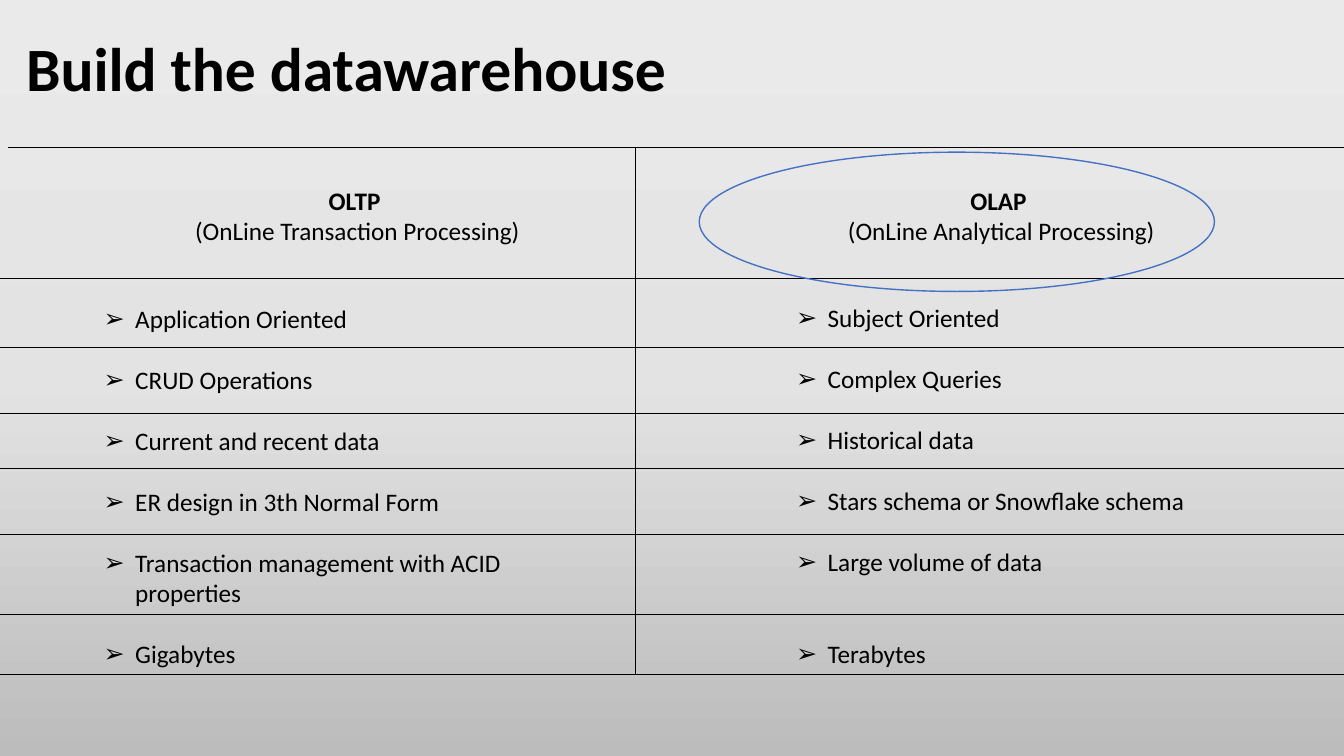
import dataclasses

import lxml.etree
import pptx
import pptx.dml.color
import pptx.enum.shapes
import pptx.enum.text
import pptx.oxml.ns
import pptx.util

Pt = pptx.util.Pt
qn = pptx.oxml.ns.qn
Align = pptx.enum.text.PP_ALIGN
Anchor = pptx.enum.text.MSO_ANCHOR


@dataclasses.dataclass
class Theme:
    font: str = "Calibri"
    ink: str = "000000"
    ring: str = "4472C4"
    back: tuple = ((0, "EBEAEA"), (50, "E4E3E3"), (100, "BDBCBC"))
    title: int = 44
    body: int = 18
    row: int = 22  # height of one body line


def paint(code):
    return pptx.dml.color.RGBColor.from_string(code)


class Board:
    def __init__(self, slide, theme):
        self.slide = slide
        self.theme = theme

    def ground(self):
        fill = self.slide.background.fill
        fill.gradient()
        fill.gradient_angle = 270
        stops = next(self.slide.element.iter(qn("a:gsLst")))
        for stop in list(stops):
            stops.remove(stop)
        for place, code in self.theme.back:
            stop = lxml.etree.SubElement(stops, qn("a:gs"), pos=str(place * 1000))
            lxml.etree.SubElement(stop, qn("a:srgbClr"), val=code)

    def text(self, area, words, size=None, bold=(False,), align=Align.LEFT,
             anchor=Anchor.TOP, gaps=(0,), lead=None, mark=None):
        """Each item of words is a paragraph; bold holds one flag per line in it."""
        box = self.slide.shapes.add_textbox(*map(Pt, area))
        frame = box.text_frame
        frame.word_wrap = True
        frame.vertical_anchor = anchor
        for item, (word, gap) in enumerate(zip(words, gaps)):
            para = frame.add_paragraph() if item else frame.paragraphs[0]
            if mark:
                self.bullet(para, mark)
            para.alignment = align
            para.space_before = Pt(gap)
            if lead:
                para.line_spacing = lead
            for row, (line, heavy) in enumerate(zip(word.split("\n"), bold)):
                if row:
                    para.add_line_break()
                run = para.add_run()
                run.text = line
                run.font.name = self.theme.font
                run.font.size = Pt(size or self.theme.body)
                run.font.bold = heavy
                run.font.color.rgb = paint(self.theme.ink)

    def bullet(self, para, mark):
        props = para._p.get_or_add_pPr()
        props.set("marL", str(Pt(22.5)))
        props.set("indent", str(-Pt(22.5)))
        lxml.etree.SubElement(props, qn("a:buFont"), typeface="Arial")
        lxml.etree.SubElement(props, qn("a:buChar"), char=mark)

    def line(self, left, top, right, base):
        kind = pptx.enum.shapes.MSO_CONNECTOR.STRAIGHT
        rule = self.slide.shapes.add_connector(kind, *map(Pt, (left, top, right, base)))
        rule.line.color.rgb = paint(self.theme.ink)
        rule.line.width = Pt(0.5)
        lxml.etree.SubElement(rule._element.spPr, qn("a:effectLst"))

    def ring(self, area):
        kind = pptx.enum.shapes.MSO_SHAPE.OVAL
        oval = self.slide.shapes.add_shape(kind, *map(Pt, area))
        oval.shadow.inherit = False
        oval.fill.background()
        oval.line.color.rgb = paint(self.theme.ring)
        oval.line.width = Pt(1)


def main():
    deck = pptx.Presentation()
    deck.slide_width, deck.slide_height = Pt(960), Pt(540)
    theme = Theme()
    board = Board(deck.slides.add_slide(deck.slide_layouts[6]), theme)
    board.ground()

    # Title
    board.text((11.5, -2.9, 577.5, 107.3), ["Build the datawarehouse"],
               size=theme.title, bold=(True,), anchor=Anchor.MIDDLE, lead=0.9)

    # Column heads
    for left, head in ((121, "OLTP \n(OnLine Transaction Processing)"),
                       (581, "OLAP \n(OnLine Analytical Processing)")):
        board.text((left, 128.9, 268.6, 51), [head],
                   bold=(True, False), align=Align.CENTER)

    # Column lists; the last gap on the right spans the wrapped row on the left
    row = theme.row
    lists = (
        (67, 213.1, row, ("Application Oriented", "CRUD Operations",
                          "Current and recent data",
                          "ER design in 3th Normal Form",
                          "Transaction management with ACID properties",
                          "Gigabytes")),
        (561.6, 212.4, 2 * row, ("Subject Oriented", "Complex Queries",
                                 "Historical data",
                                 "Stars schema or Snowflake schema",
                                 "Large volume of data", "Terabytes")),
    )
    for left, top, last, items in lists:
        board.text((left, top, 309.6, 269.3), items,
                   gaps=(0, row, row, row, row, last), mark="➢")

    # Grid lines
    top, base = 105.1, 481.7
    board.line(453.6, top, 453.6, base)
    board.line(5.8, top, 960, top)
    for level in (198.7, 248.4, 295.2, 334.8, 381.6, 438.5, base):
        board.line(0, level, 960, level)

    # Ring around the OLAP head
    board.ring((499.5, 108.7, 368, 99.5))

    deck.save("out.pptx")


if __name__ == "__main__":
    main()
